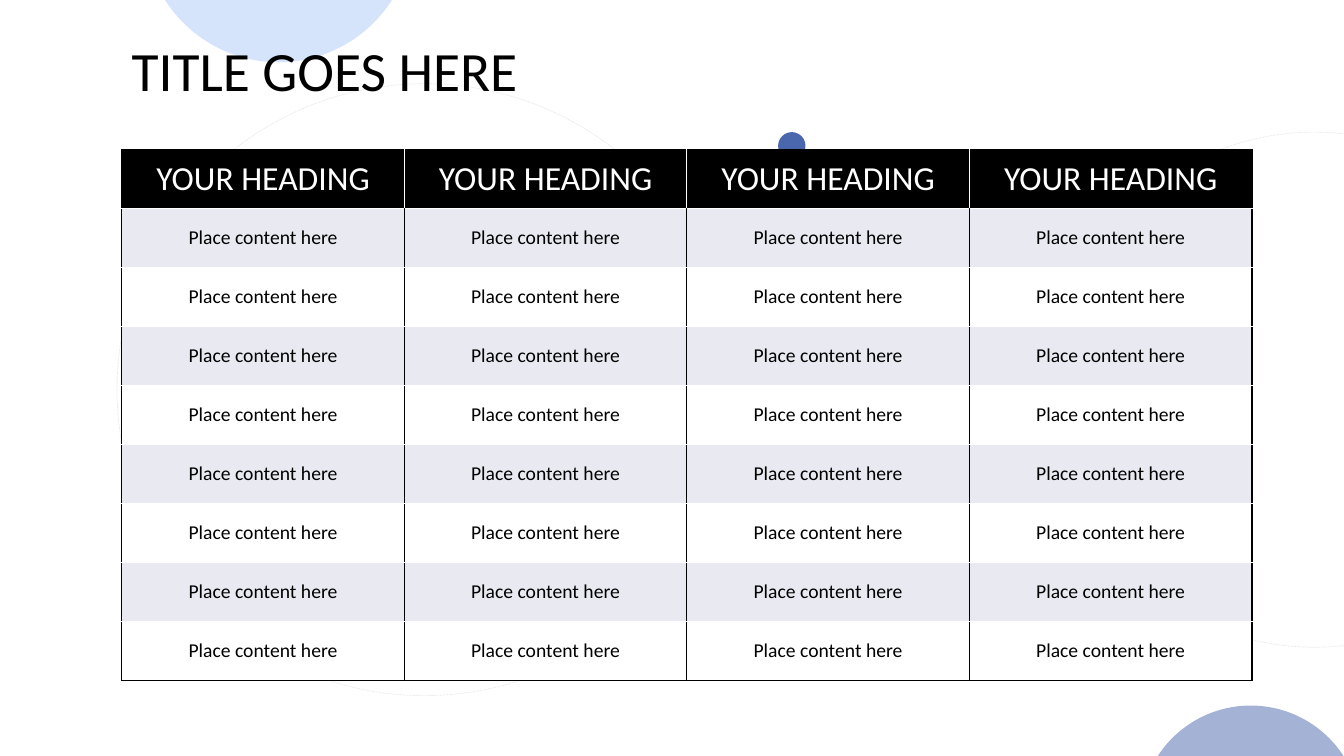
from math import asin, cos, sin
from lxml.etree import SubElement as Sub
from pptx import Presentation
from pptx.dml.color import RGBColor
from pptx.enum.dml import MSO_LINE as Dash
from pptx.enum.shapes import MSO_SHAPE as Geo
from pptx.enum.text import MSO_ANCHOR as Anchor, PP_ALIGN as Align
from pptx.oxml.ns import qn
from pptx.util import Cm, Pt

TITLE = "TITLE GOES HERE"
HEADS = ["YOUR HEADING"] * 4
BODY = [["Place content here"] * 4] * 8
RINGS = [(26.59, 3.33, 13.06, 12.98), (2.95, 2.11, 15.49, 15.42)]
DOTS = [(17.53, 15.95, 0.3, "242852"), (19.61, 3.33, 0.69, "4A66AC")]
CAPS = [
    (31.52, 19.05, 2.34, -1.27, "4A66AC"),
    (7.02, 0, 2.86, 1.57, "ACCBF9"),
]
LEFT, TOP, WIDE, HIGH = 3.07, 3.76, 28.48, 13.39
BLACK, WHITE, BAND = "000000", "FFFFFF", "E9EAF1"
HEAD = dict(name="Calibri", size=Pt(24), color=WHITE)
TEXT = dict(name="Calibri", size=Pt(14), color=BLACK)
NAME = dict(name="Calibri", size=Pt(39.6), color=BLACK)
CELL = dict(
    vertical_anchor=Anchor.MIDDLE,
    margin_left=Cm(0.18),
    margin_right=Cm(0.18),
    margin_top=Cm(0.09),
    margin_bottom=Cm(0.09),
)


def tint(fmt, color):
    fmt.solid()
    fmt.fore_color.rgb = RGBColor.from_string(color)


def fade(shape, share):
    for node in shape.element.spPr.iter(qn("a:srgbClr")):
        Sub(node, qn("a:alpha"), val=str(share * 1000))


def style(font, look):
    for key, val in look.items():
        if key == "color":
            tint(font.fill, val)
        else:
            setattr(font, key, val)


def oval(x, y, w, h):
    shape = slide.shapes.add_shape(Geo.OVAL, Cm(x), Cm(y), Cm(w), Cm(h))
    shape.shadow.inherit = False
    return shape


def cap(mid, edge, half, rise, color):
    size = abs(rise)
    rad = (half**2 + size**2) / (2 * size)
    span = asin(half / rad)
    sign = rise / size
    hub = edge + rise - sign * rad
    turns = [span * (k / 30 - 1) for k in range(61)]
    arc = [(Cm(mid + rad * sin(t)), Cm(hub + sign * rad * cos(t))) for t in turns]
    path = slide.shapes.build_freeform(*arc[0])
    path.add_line_segments(arc[1:], close=True)
    shape = path.convert_to_shape()
    shape.shadow.inherit = False
    tint(shape.fill, color)
    shape.line.fill.background()
    fade(shape, 50)


def edges(cell, colors):
    props = cell._tc.get_or_add_tcPr()
    for side, color in zip("LRTB", colors):
        line = Sub(props, qn("a:ln" + side), w=str(Pt(1)))
        Sub(Sub(line, qn("a:solidFill")), qn("a:srgbClr"), val=color)


def fill_table():
    rows = [HEADS] + BODY
    last, end = len(rows) - 1, len(HEADS) - 1
    frame = slide.shapes.add_table(
        last + 1, end + 1, Cm(LEFT), Cm(TOP), Cm(WIDE), Cm(HIGH)
    )
    grid = frame.table
    for col in grid.columns:
        col.width = Cm(WIDE / len(HEADS))
    for r, words in enumerate(rows):
        grid.rows[r].height = Cm(HIGH / len(rows))
        for c, word in enumerate(words):
            cell = grid.cell(r, c)
            for key, val in CELL.items():
                setattr(cell, key, val)
            top = r == 0
            edges(cell, [
                WHITE if top and c > 0 else BLACK,
                WHITE if top and c < end else BLACK,
                BLACK if top else WHITE,
                BLACK if r == last else WHITE,
            ])
            tint(cell.fill, BLACK if top else BAND if r % 2 else WHITE)
            para = cell.text_frame.paragraphs[0]
            para.alignment = Align.CENTER
            run = para.add_run()
            run.text = word
            style(run.font, HEAD if top else TEXT)


deck = Presentation()
deck.slide_width, deck.slide_height = Cm(33.87), Cm(19.05)
slide = deck.slides.add_slide(deck.slide_layouts[6])
tint(slide.background.fill, WHITE)

for place in RINGS:
    ring = oval(*place)
    ring.fill.background()
    tint(ring.line.fill, BLACK)
    ring.line.width = Pt(0.5)
    ring.line.dash_style = Dash.ROUND_DOT
    fade(ring, 10)
for x, y, size, color in DOTS:
    dot = oval(x, y, size, size)
    tint(dot.fill, color)
    dot.line.fill.background()
for part in CAPS:
    cap(*part)

box = slide.shapes.add_textbox(Cm(LEFT), Cm(1.02), Cm(WIDE), Cm(1.68))
frame = box.text_frame
frame.word_wrap = True
frame.vertical_anchor = Anchor.MIDDLE
para = frame.paragraphs[0]
para.line_spacing = 0.9
run = para.add_run()
run.text = TITLE
style(run.font, NAME)

fill_table()
deck.save("out.pptx")
